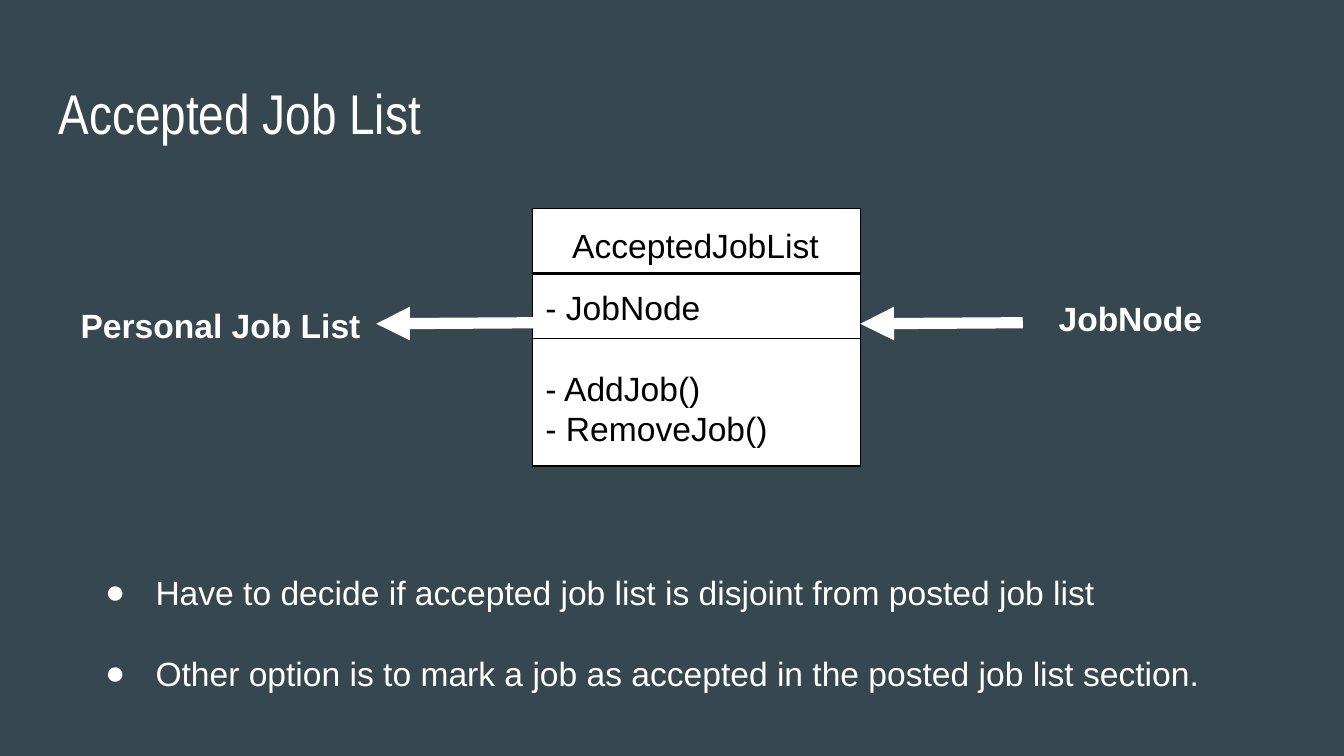
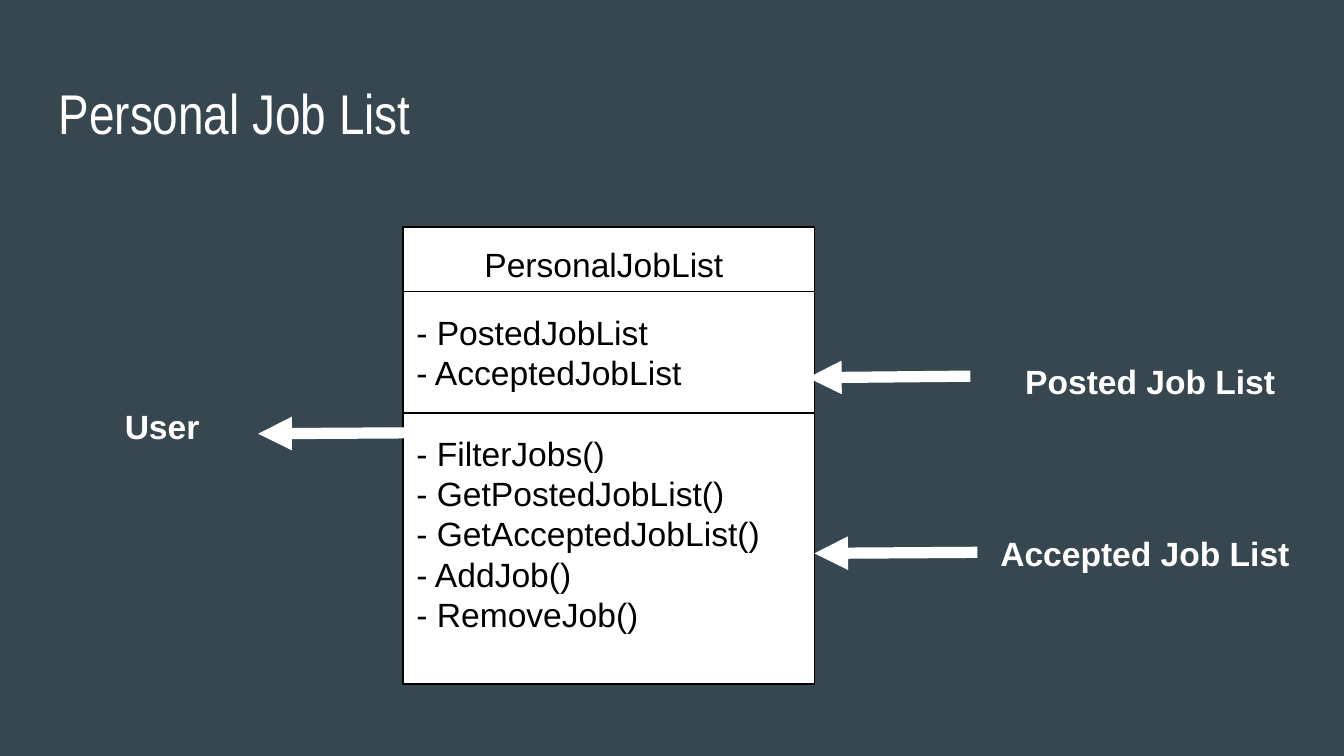
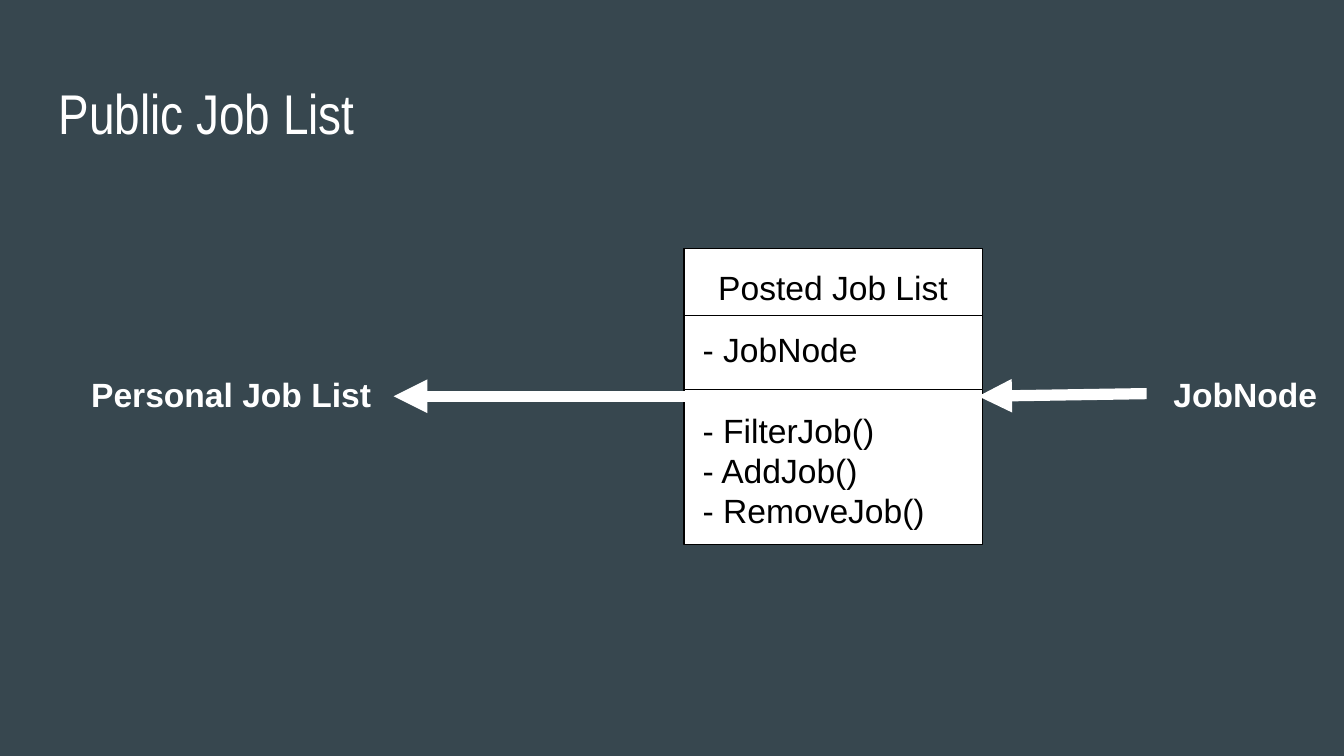
import dataclasses

import lxml.etree
import pptx
import pptx.dml.color
import pptx.enum.shapes
import pptx.enum.text
import pptx.oxml.ns
import pptx.util

Cm = pptx.util.Cm
Pt = pptx.util.Pt
Align = pptx.enum.text.PP_ALIGN


@dataclasses.dataclass(frozen=True)
class Theme:
    ground: str = "37474F"
    light: str = "FFFFFF"
    dark: str = "000000"
    title_font: str = "Arial Narrow"
    body_font: str = "Arial"
    title_size: float = 30
    body_size: float = 18
    group_gap: float = 21.6
    border: float = 0.75
    arrow: float = 6
    inset: float = 0.25
    label_height: float = 1.09


THEME = Theme()

SLIDES = [
    {
        "title": "Accepted Job List",
        "class": {
            "name": "AcceptedJobList",
            "name_box": (10.39, 4.01, 5.51, THEME.label_height),
            "groups": [["- JobNode"], ["- AddJob()", "- RemoveJob()"]],
            "groups_box": (10.06, 5.18, 5.38, 3.48),
            "left": 10.06,
            "width": 6.2,
            "rows": [(6.32, 2.49), (3.94, 1.22), (5.18, 1.22)],
        },
        "arrows": [(10.19, 6.1, 7.11, 6.12), (19.33, 6.1, 16.26, 6.12)],
        "labels": [("Personal Job List", 1.12, 5.51, 6.1), ("JobNode", 19.56, 5.38, 3.61)],
        "bullets": [
            "Have to decide if accepted job list is disjoint from posted job list",
            "Other option is to mark a job as accepted in the posted job list section.",
        ],
    },
    {
        "title": "Personal Job List",
        "class": {
            "name": "PersonalJobList",
            "name_box": (8.66, 4.37, 5.51, THEME.label_height),
            "groups": [
                ["- PostedJobList", "- AcceptedJobList"],
                ["- FilterJobs()", "- GetPostedJobList()", "- GetAcceptedJobList()",
                 "- AddJob()", "- RemoveJob()"],
            ],
            "groups_box": (7.62, 5.64, 7.77, 7.29),
            "left": 7.62,
            "width": 7.77,
            "rows": [(7.82, 5.11), (4.29, 1.22), (5.51, 2.29)],
        },
        "arrows": [(7.95, 8.18, 4.88, 8.2), (18.34, 7.11, 15.27, 7.14),
                   (18.47, 10.44, 15.39, 10.46)],
        "labels": [("User", 1.45, 7.42, 3.23), ("Posted Job List", 18.92, 6.58, 5.64),
                   ("Accepted Job List", 18.59, 9.83, 6.1)],
        "bullets": [],
    },
    {
        "title": "Public Job List",
        "class": {
            "name": "Posted Job List",
            "name_box": (13.23, 4.8, 5.03, THEME.label_height),
            "groups": [["- JobNode"], ["- FilterJob()", "- AddJob()", "- RemoveJob()"]],
            "groups_box": (13.03, 5.97, 5.03, 4.04),
            "left": 12.93,
            "width": 5.64,
            "rows": [(6.81, 3.48), (4.7, 1.27), (5.97, 1.4)],
        },
        "arrows": [(14.07, 7.49, 7.44, 7.49), (21.67, 7.44, 18.49, 7.49)],
        "labels": [("Personal Job List", 1.32, 6.81, 6.1), ("JobNode", 21.67, 6.81, 3.73)],
        "bullets": [],
    },
]

TITLE_BOX = (0.86, 1.24, 23.67, 1.6)
BULLETS_BOX = (1.42, 9.8, 23.47, 3.23)


def rgb(value):
    return pptx.dml.color.RGBColor.from_string(value)


def apply(target, values):
    for name, value in values.items():
        setattr(target, name, value)


def add_node(parent, tag, **attributes):
    return lxml.etree.SubElement(parent, pptx.oxml.ns.qn(tag), attributes)


def add_bullet(para):
    properties = para._p.get_or_add_pPr()
    apply(properties, {})
    properties.set("marL", str(Cm(1.27)))
    properties.set("indent", str(Cm(-0.95)))
    add_node(add_node(properties, "a:buClr"), "a:srgbClr", val=THEME.light)
    add_node(properties, "a:buFont", typeface=THEME.body_font)
    add_node(properties, "a:buChar", char="●")


def add_text(page, place, groups, color, font=THEME.body_font, size=THEME.body_size,
             bold=False, align=Align.LEFT, spacing=1.0, bulleted=False):
    box = page.shapes.add_textbox(*map(Cm, place))
    frame = box.text_frame
    margins = ("margin_left", "margin_top", "margin_right", "margin_bottom")
    apply(frame, dict.fromkeys(margins, Cm(THEME.inset)))
    apply(frame, {"word_wrap": True, "vertical_anchor": pptx.enum.text.MSO_ANCHOR.TOP})
    lines = [(line, group > 0 and row == 0)
             for group, members in enumerate(groups)
             for row, line in enumerate(members)]
    for index, (line, starts_group) in enumerate(lines):
        para = frame.add_paragraph() if index else frame.paragraphs[0]
        if bulleted:
            add_bullet(para)
        gap = THEME.group_gap if starts_group else 0
        apply(para, {"alignment": align, "line_spacing": spacing, "space_before": Pt(gap)})
        span = para.add_run()
        span.text = line
        apply(span.font, {"name": font, "size": Pt(size), "bold": bold})
        span.font.color.rgb = rgb(color)


def add_class(page, content):
    for top, height in content["rows"]:
        row = page.shapes.add_shape(
            pptx.enum.shapes.MSO_SHAPE.RECTANGLE,
            Cm(content["left"]), Cm(top), Cm(content["width"]), Cm(height))
        row.shadow.inherit = False
        row.fill.solid()
        row.fill.fore_color.rgb = rgb(THEME.light)
        row.line.color.rgb = rgb(THEME.dark)
        row.line.width = Pt(THEME.border)
    add_text(page, content["groups_box"], content["groups"], THEME.dark)
    add_text(page, content["name_box"], [[content["name"]]], THEME.dark, align=Align.CENTER)


def add_arrow(page, ends):
    arrow = page.shapes.add_connector(
        pptx.enum.shapes.MSO_CONNECTOR.STRAIGHT, *map(Cm, ends))
    arrow.line.color.rgb = rgb(THEME.light)
    arrow.line.width = Pt(THEME.arrow)
    add_node(arrow.line._get_or_add_ln(), "a:tailEnd", type="triangle")
    add_node(arrow._element.spPr, "a:effectLst")


def add_page(deck, content):
    page = deck.slides.add_slide(deck.slide_layouts[6])
    page.background.fill.solid()
    page.background.fill.fore_color.rgb = rgb(THEME.ground)
    add_text(page, TITLE_BOX, [[content["title"]]], THEME.light,
             font=THEME.title_font, size=THEME.title_size)
    add_class(page, content["class"])
    for ends in content["arrows"]:
        add_arrow(page, ends)
    for label, left, top, width in content["labels"]:
        add_text(page, (left, top, width, THEME.label_height), [[label]], THEME.light,
                 bold=True, align=Align.CENTER)
    if content["bullets"]:
        add_text(page, BULLETS_BOX, [content["bullets"]], THEME.light,
                 spacing=2.0, bulleted=True)


def main():
    deck = pptx.Presentation()
    apply(deck, {"slide_width": Cm(25.4), "slide_height": Cm(14.29)})
    for content in SLIDES:
        add_page(deck, content)
    deck.save("out.pptx")


if __name__ == "__main__":
    main()
